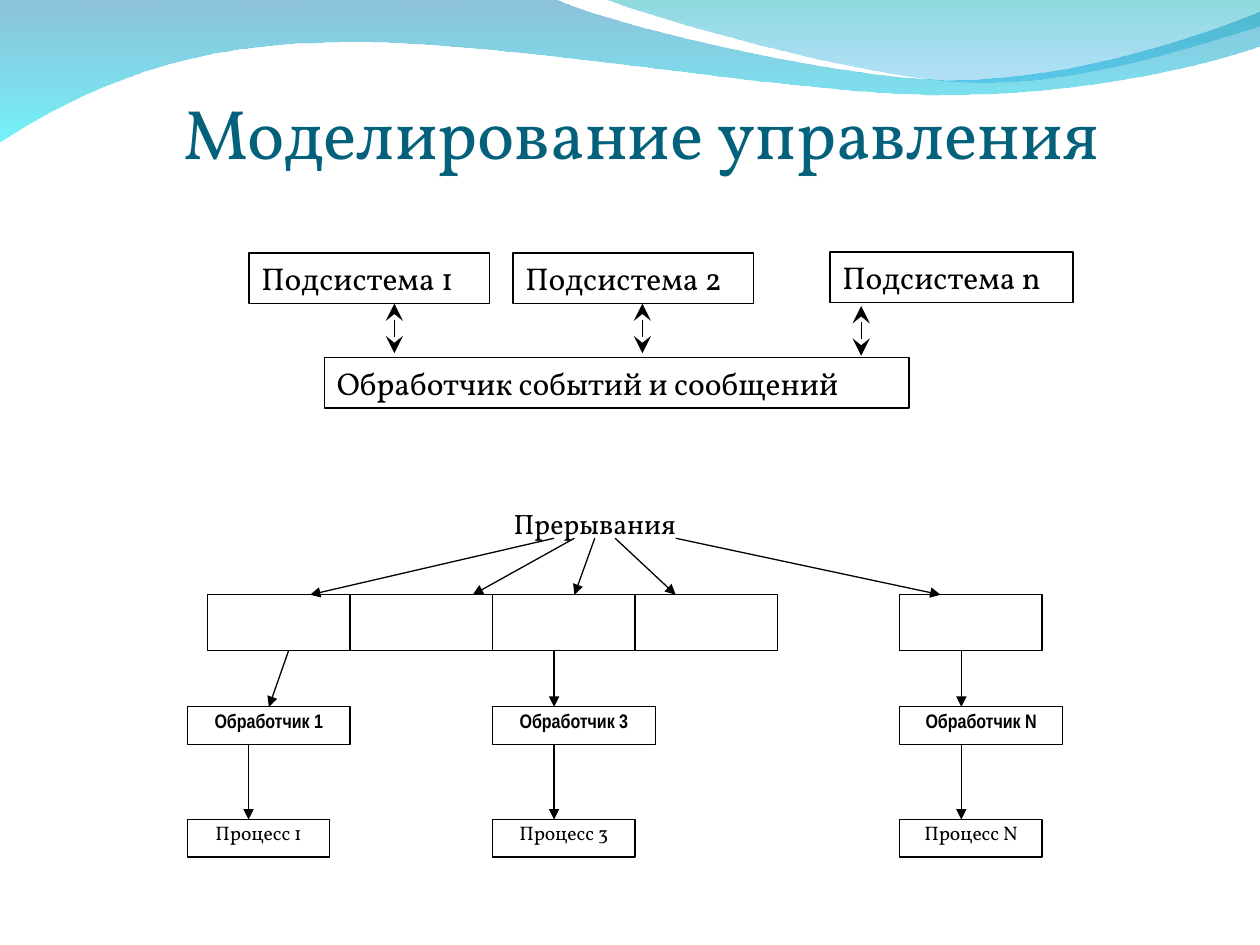
from dataclasses import dataclass
from typing import Optional

from lxml import etree
from pptx import Presentation
from pptx.dml.color import RGBColor
from pptx.enum import shapes as kinds, text as txt
from pptx.oxml.ns import qn
from pptx.util import Cm, Pt

HUES = {"ink": "000000", "paper": "FFFFFF", "title": "04617B",
        "blue": "0079AF", "cyan": "00EBF8", "teal": "00ADB6", "sky": "009BE5"}
SERIF, NARROW = "Vollkorn", "Arial Narrow"


@dataclass
class Box:
    x: float
    y: float
    w: float
    h: float
    text: str = ""
    size: float = 18
    font: str = SERIF
    bold: bool = False
    align: str = "LEFT"
    gap: Optional[float] = None
    inset: float = 0.25
    fill: Optional[str] = None
    line: Optional[float] = 1


@dataclass
class Arrow:
    x1: float
    y1: float
    x2: float
    y2: float
    ends: tuple = ("tailEnd",)
    head: str = "triangle"
    size: str = "med"


@dataclass
class Wave:
    """Each step holds one point for a line or three for a Bezier curve."""
    start: tuple
    steps: list
    stops: list


def hue(name: str) -> RGBColor:
    return RGBColor.from_string(HUES[name])


def write(frame, words: str, size: float = 18, font: str = SERIF, bold: bool = False,
          align: str = "LEFT", gap: Optional[float] = None, inset: float = 0.25,
          top: float = 0.13, base: float = 0.13, anchor: str = "TOP", color: str = "ink") -> None:
    frame.word_wrap = True
    frame.auto_size = txt.MSO_AUTO_SIZE.NONE
    frame.vertical_anchor = getattr(txt.MSO_ANCHOR, anchor)
    frame.margin_left = frame.margin_right = Cm(inset)
    frame.margin_top, frame.margin_bottom = Cm(top), Cm(base)
    para = frame.paragraphs[0]
    para.alignment = getattr(txt.PP_ALIGN, align)
    para.line_spacing = gap
    run = para.add_run()
    run.text = words
    run.font.size, run.font.name, run.font.bold = Pt(size), font, bold
    run.font.color.rgb = hue(color)


def draw(slide, box: Box):
    place = [Cm(v) for v in (box.x, box.y, box.w, box.h)]
    if box.line is None:
        shape = slide.shapes.add_textbox(*place)
    else:
        shape = slide.shapes.add_shape(kinds.MSO_SHAPE.RECTANGLE, *place)
        shape.shadow.inherit = False
        shape.line.color.rgb = hue("ink")
        shape.line.width = Pt(box.line)
        if box.fill:
            shape.fill.solid()
            shape.fill.fore_color.rgb = hue(box.fill)
        else:
            shape.fill.background()
    if box.text:
        write(shape.text_frame, box.text, size=box.size, font=box.font, bold=box.bold,
              align=box.align, gap=box.gap, inset=box.inset)
    return shape


def join(slide, arrow: Arrow):
    link = slide.shapes.add_connector(
        kinds.MSO_CONNECTOR.STRAIGHT,
        *[Cm(v) for v in (arrow.x1, arrow.y1, arrow.x2, arrow.y2)])
    link.line.color.rgb = hue("ink")
    link.line.width = Pt(0.75)
    for tag in arrow.ends:
        etree.SubElement(link.line._get_or_add_ln(), qn("a:" + tag),
                         type=arrow.head, w=arrow.size, len=arrow.size)
    etree.SubElement(link._element.spPr, qn("a:effectLst"))
    return link


def bend(shape, steps: list) -> None:
    """Turn each run of three line points into one Bezier curve."""
    lines = iter(list(shape._element.spPr.iter(qn("a:lnTo"))))
    for step in steps:
        parts = [next(lines) for point in step]
        if len(parts) == 3:
            arc = etree.Element(qn("a:cubicBezTo"))
            parts[0].addprevious(arc)
            for part in parts:
                arc.append(part[0])
                part.getparent().remove(part)


def flow(slide, wave: Wave) -> None:
    """Draw a wave with a see-through gradient running downward."""
    dots = [(Cm(x), Cm(y)) for x, y in [wave.start] + sum(wave.steps, [])]
    pen = slide.shapes.build_freeform(*dots[0])
    pen.add_line_segments(dots[1:], close=True)
    shape = pen.convert_to_shape()
    bend(shape, wave.steps)
    shape.shadow.inherit = False
    shape.line.fill.background()
    shape.fill.gradient()
    shape.fill.gradient_angle = 270
    for stop, (name, alpha) in zip(shape.fill.gradient_stops, wave.stops):
        stop.color.rgb = hue(name)
    tints = shape._element.spPr.iter(qn("a:srgbClr"))
    for tint, (name, alpha) in zip(list(tints), wave.stops):
        etree.SubElement(tint, qn("a:alpha"), val=str(alpha * 1000))


WAVES = [
    Wave((0, -0.03), [
        [(11.18, -0.03)],
        [(12.09, 0.43), (16.87, 1.6), (19.25, 1.6)],
        [(21.67, 1.6), (24.33, 0.66), (25.4, 0.23)],
        [(25.43, 0.91)],
        [(24.97, 1.12), (22.1, 1.93), (18.95, 1.91)],
        [(15.8, 1.91), (9.7, 0.71), (6.53, 0.86)],
        [(3.28, 0.89), (1.17, 2.11), (-0.03, 2.87)],
    ], [("blue", 45), ("cyan", 55)]),
    Wave((12.17, -0.03), [
        [(12.93, 0.28), (17.32, 1.57), (19.53, 1.65)],
        [(21.74, 1.75), (24.41, 0.81), (25.4, 0.53)],
        [(25.4, 0)],
    ], [("teal", 45), ("sky", 30)]),
]


def events(slide) -> None:
    """Subsystems that talk to the shared event handler."""
    draw(slide, Box(6.54, 7.21, 11.79, 1.02, "Обработчик событий и сообщений"))
    for mark, x, y, w, mid, top in [("1", 5.02, 5.1, 4.85, 7.95, 6.12),
                                    ("2", 10.34, 5.1, 4.85, 12.95, 6.12),
                                    ("n", 16.73, 5.08, 4.9, 17.36, 6.17)]:
        draw(slide, Box(x, y, w, 1.02, f"Подсистема {mark}"))
        join(slide, Arrow(mid, top, mid, top + 1, ("headEnd", "tailEnd"), "stealth", "lg"))


def breaks(slide) -> None:
    """Interrupts fan out to a vector, then to handlers and processes."""
    wide, row = 2.87, 11.99
    draw(slide, Box(9.12, 10.08, 5.74, 1.14, "Прерывания", size=16,
                    align="CENTER", line=None))
    for x in [4.19 + i * wide for i in range(4)] + [18.14]:
        draw(slide, Box(x, row, wide, 1.12, fill="paper", line=0.75))
    look = dict(size=11.2, align="CENTER", gap=0.8, inset=0, fill="paper", line=0.75)
    for mark, x, start, mid, end in [("1", 3.78, 5.82, 5.01, 5.42),
                                     ("3", 9.93, 11.17, 11.17, 11.17),
                                     ("N", 18.14, 19.38, 19.38, 19.38)]:
        task = draw(slide, Box(x, 14.25, 3.28, 0.76, f"Обработчик {mark}",
                               font=NARROW, bold=True, **look))
        draw(slide, Box(x, 16.52, wide, 0.76, f"Процесс {mark}", **look))
        link = join(slide, Arrow(start, 13.11, end, 14.25))
        if start != end:
            link.end_connect(task, 0)
        join(slide, Arrow(mid, 15.01, mid, 16.52))
    for start, end in [(11.17, 6.25), (11.58, 9.53), (11.99, 11.58),
                       (12.4, 13.62), (13.62, 18.96)]:
        join(slide, Arrow(start, 10.85, end, row))


def main() -> None:
    deck = Presentation()
    deck.slide_width, deck.slide_height = Cm(25.4), Cm(19.05)
    slide = deck.slides.add_slide(deck.slide_layouts[5])
    for wave in WAVES:
        flow(slide, wave)
    title = slide.shapes.title
    title.left, title.top, title.width, title.height = Cm(1.5), Cm(0.91), Cm(22.86), Cm(2.58)
    write(title.text_frame, "Моделирование управления", size=40, align="CENTER",
          inset=0, base=0, anchor="BOTTOM", color="title")
    slide.shapes._spTree.append(title._element)
    events(slide)
    breaks(slide)
    deck.save("out.pptx")


if __name__ == "__main__":
    main()
